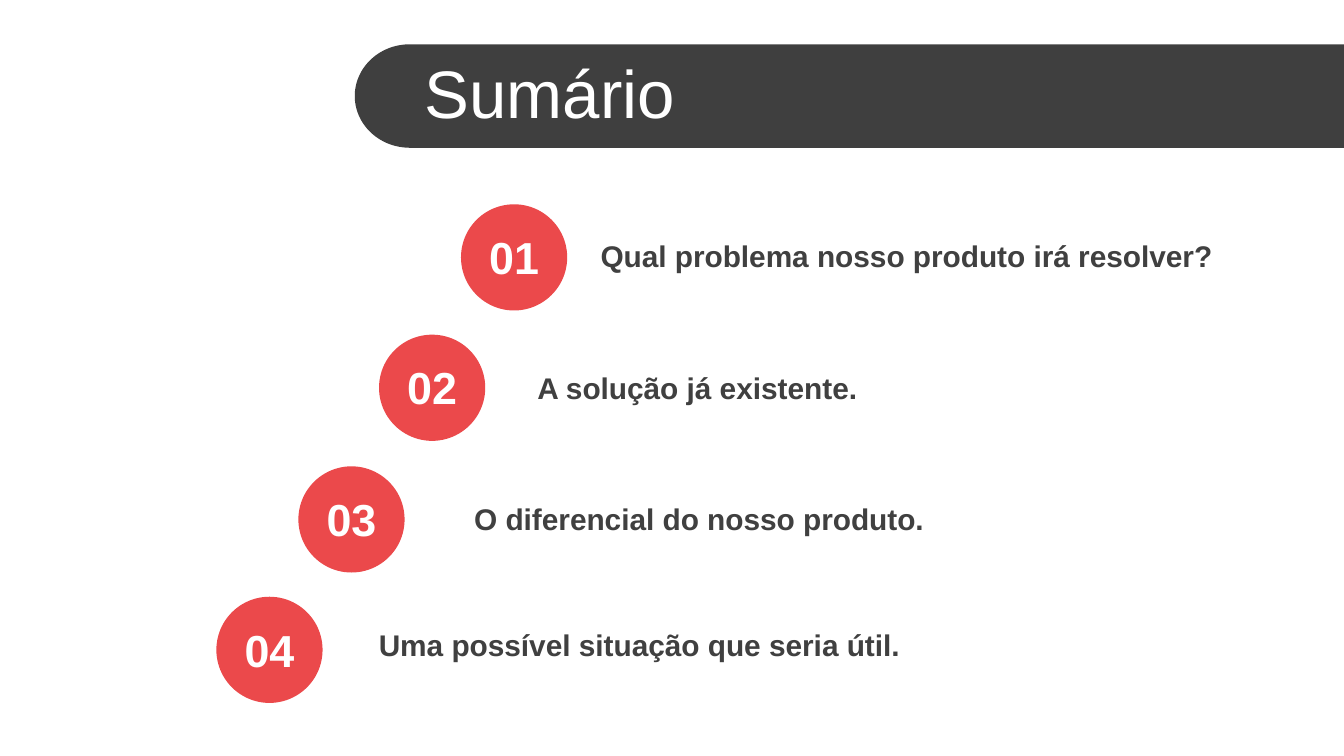
import math

from pptx import Presentation
from pptx.dml.color import RGBColor
from pptx.enum.shapes import MSO_SHAPE
from pptx.enum.text import MSO_ANCHOR, PP_ALIGN
from pptx.util import Inches, Pt

LEFT, CENTER = PP_ALIGN.LEFT, PP_ALIGN.CENTER
MIDDLE = MSO_ANCHOR.MIDDLE
OVAL = MSO_SHAPE.OVAL

BANNER_GRAY = RGBColor(0x3F, 0x3F, 0x3F)
TEXT_GRAY = RGBColor(0x40, 0x40, 0x40)
RED = RGBColor(0xEB, 0x49, 0x4B)
WHITE = RGBColor(0xFF, 0xFF, 0xFF)


def set_text(shape, text, size, color, bold=False, align=LEFT):
    frame = shape.text_frame
    frame.word_wrap = True
    frame.vertical_anchor = MIDDLE
    paragraph = frame.paragraphs[0]
    paragraph.alignment = align
    run = paragraph.add_run()
    run.text = text
    run.font.name = "Arial"
    run.font.size = Pt(size)
    run.font.bold = bold
    run.font.color.rgb = color


def fill_plain(shape, color):
    shape.shadow.inherit = False
    shape.fill.solid()
    shape.fill.fore_color.rgb = color
    shape.line.fill.background()


# 16:9 slide
presentation = Presentation()
presentation.slide_width = Inches(10)
presentation.slide_height = Inches(10 * 9 / 16)
slide = presentation.slides.add_slide(presentation.slide_layouts[5])
shapes = slide.shapes

# Banner with a rounded left end, running to the slide edge
banner_left, banner_top, banner_height = 2.64, 0.33, 0.77
radius_x, radius_y = 0.41, banner_height / 2
center_x, center_y = banner_left + radius_x, banner_top + radius_y
arc = []
for degrees in range(90, 271, 3):
    angle = math.radians(degrees)
    arc.append((Inches(center_x + radius_x * math.cos(angle)),
                Inches(center_y + radius_y * math.sin(angle))))
right_edge = [(Inches(10), Inches(banner_top)),
              (Inches(10), Inches(banner_top + banner_height))]
builder = shapes.build_freeform(*arc[0])
builder.add_line_segments(arc[1:] + right_edge, close=True)
banner = builder.convert_to_shape()
fill_plain(banner, BANNER_GRAY)

# Title, brought in front of the banner
title = shapes.title
title.left, title.top = Inches(3.06), Inches(0.37)
title.width, title.height = Inches(6.94), Inches(0.63)
set_text(title, "Sumário", size=36, color=WHITE)
banner._element.addnext(title._element)

# Numbered topics descending to the left: text, text left, text top
topics = [
    ("Qual problema nosso produto irá resolver?", 4.37, 1.72),
    ("A solução já existente.", 3.9, 2.7),
    ("O diferencial do nosso produto.", 3.43, 3.67),
    ("Uma possível situação que seria útil.", 2.72, 4.61),
]
diameter = Inches(0.79)
for index, (topic, topic_left, topic_top) in enumerate(topics):
    left = Inches(3.43 - 0.61 * index + 0.01 * (index // 2))
    top = Inches(1.52 + 0.97 * index + 0.01 * (index // 2))
    circle = shapes.add_shape(OVAL, left, top, diameter, diameter)
    fill_plain(circle, RED)
    number = shapes.add_textbox(left, top + Inches(0.14), diameter, Inches(0.5))
    set_text(number, f"{index + 1:02d}", size=24, color=WHITE, bold=True, align=CENTER)
    label = shapes.add_textbox(Inches(topic_left), Inches(topic_top),
                               Inches(5.04), Inches(0.37))
    set_text(label, topic, size=16, color=TEXT_GRAY, bold=True)

presentation.save("out.pptx")
